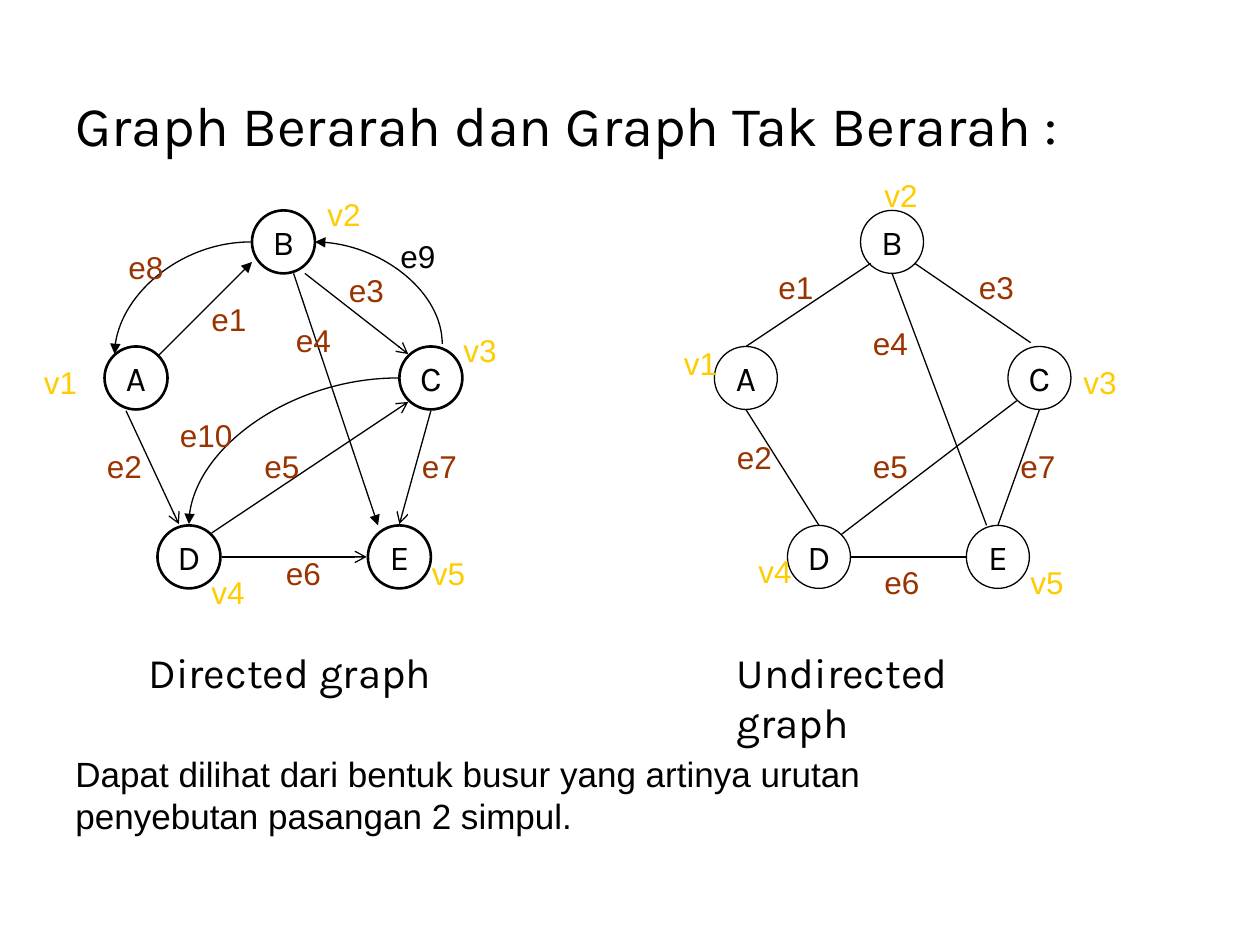
from lxml.etree import SubElement
from pptx import Presentation
from pptx.dml.color import RGBColor
from pptx.enum.shapes import MSO_CONNECTOR, MSO_SHAPE
from pptx.enum.text import MSO_ANCHOR, MSO_AUTO_SIZE, PP_ALIGN
from pptx.oxml.ns import qn
from pptx.util import Cm, Pt

COLORS = {"ink": "000000", "edge": "993300", "vertex": "FFCC00"}
NODE_SIZE = 0.5
LABEL_WIDTH, LABEL_HEIGHT = 0.5, 0.4

# Positions are in inches from the top left corner of each graph's box.
DIRECTED = {
    "caption": ("Directed graph", 1.08, 2.5),
    "node_line": 1.5,
    "nodes": {"B": (2, 0.67), "A": (0.83, 1.75), "C": (3.17, 1.75),
              "D": (1.25, 3.17), "E": (2.92, 3.17)},
    "edges": [
        (1, 2.26, 1.42, 3.16, "arrow"),
        (1.68, 3.23, 3.24, 2.19, "arrow"),
        (1.76, 3.42, 2.91, 3.42, "arrow"),
        (3.42, 2.26, 3.17, 3.16, "arrow"),
        (2.42, 1.17, 3.24, 1.81, "arrow"),
        (1.25, 1.83, 2, 1.08, "triangle"),
        (2.33, 1.17, 3, 3.17, "triangle"),
    ],
    # A curve leaves its first point horizontally and meets its last vertically.
    "curves": [
        (2.5, 0.92, 3.51, 1.73, "headEnd"),
        (1.99, 0.92, 0.91, 1.81, "tailEnd"),
        (3.16, 2, 1.5, 3.16, "tailEnd"),
    ],
    "vertex_labels": {"v1": (0.25, 1.83), "v2": (2.5, 0.5), "v3": (3.58, 1.58),
                      "v4": (1.58, 3.5), "v5": (3.33, 3.35)},
    "edge_labels": {"e1": (1.58, 1.33), "e2": (0.75, 2.5), "e3": (2.67, 1.1),
                    "e4": (2.25, 1.5), "e5": (2, 2.5), "e6": (2.17, 3.35),
                    "e7": (3.25, 2.5), "e8": (0.92, 0.92), "e9": (3.08, 0.83),
                    "e10": (1.33, 2.25)},
}
UNDIRECTED = {
    "caption": ("Undirected graph", 0.75, 2.75),
    "node_line": 0.75,
    "nodes": {"B": (1.83, 0.67), "A": (0.67, 1.75), "C": (3, 1.75),
              "D": (1.25, 3.17), "E": (2.67, 3.17)},
    "edges": [
        (1.91, 1.09, 0.92, 1.75, None),
        (0.92, 2.25, 1.5, 3.17, None),
        (1.68, 3.24, 3.07, 2.18, None),
        (1.75, 3.42, 2.67, 3.42, None),
        (3.25, 2.25, 2.92, 3.17, None),
        (2.26, 1.09, 3.18, 1.72, None),
        (2.83, 3.17, 2.08, 1.17, None),
    ],
    "curves": [],
    "vertex_labels": {"v1": (0.33, 1.68), "v2": (1.92, 0.35), "v3": (3.5, 1.83),
                      "v4": (0.92, 3.33), "v5": (3.08, 3.42)},
    "edge_labels": {"e1": (1.08, 1.08), "e2": (0.75, 2.43), "e3": (2.67, 1.08),
                    "e4": (1.83, 1.52), "e5": (1.83, 2.5), "e6": (1.92, 3.42),
                    "e7": (3, 2.5)},
}


def length(inches):
    return Cm(inches * 2.54)


def color(name):
    return RGBColor.from_string(COLORS[name])


def set_font(paragraph, name, size, color_name="ink"):
    paragraph.font.name = name
    paragraph.font.size = Pt(size)
    paragraph.font.color.rgb = color(color_name)


def add_text(slide, text, box, font, size, space, color_name="ink", grow=True):
    shape = slide.shapes.add_textbox(*map(length, box))
    frame = shape.text_frame
    frame.word_wrap = True
    if grow:
        frame.auto_size = MSO_AUTO_SIZE.SHAPE_TO_FIT_TEXT
    paragraph = frame.paragraphs[0]
    paragraph.text = text
    paragraph.space_before = Pt(space)
    set_font(paragraph, font, size, color_name)


def add_node(slide, letter, left, top, line_width):
    node = slide.shapes.add_shape(
        MSO_SHAPE.OVAL, *map(length, (left, top, NODE_SIZE, NODE_SIZE)))
    node.shadow.inherit = False
    node.fill.background()
    node.line.color.rgb = color("ink")
    node.line.width = Pt(line_width)
    frame = node.text_frame
    frame.word_wrap = False
    frame.vertical_anchor = MSO_ANCHOR.MIDDLE
    paragraph = frame.paragraphs[0]
    paragraph.text = letter
    paragraph.alignment = PP_ALIGN.CENTER
    set_font(paragraph, "Karla", 20)


def add_edge(slide, points, arrow, arrow_end="tailEnd", curved=False):
    kind = MSO_CONNECTOR.CURVE if curved else MSO_CONNECTOR.STRAIGHT
    edge = slide.shapes.add_connector(kind, *map(length, points))
    edge.line.color.rgb = color("ink")
    edge.line.width = Pt(0.75)
    properties = edge._element.spPr
    if curved:
        properties.find(qn("a:prstGeom")).set("prst", "curvedConnector2")
    if arrow:
        SubElement(edge.line._get_or_add_ln(), qn(f"a:{arrow_end}"), type=arrow)
    SubElement(properties, qn("a:effectLst"))


def add_graph(slide, left, top, graph):
    """Draw nodes, edges, labels and caption from the box's top left corner."""
    def shift(*coordinates):
        return [value + (top if index % 2 else left)
                for index, value in enumerate(coordinates)]

    for letter, position in graph["nodes"].items():
        add_node(slide, letter, *shift(*position), graph["node_line"])
    for *points, arrow in graph["edges"]:
        add_edge(slide, shift(*points), arrow)
    for *points, arrow_end in graph["curves"]:
        add_edge(slide, shift(*points), "triangle", arrow_end, curved=True)
    for kind in ("vertex", "edge"):
        for text, position in graph[f"{kind}_labels"].items():
            width = 0.67 if len(text) > 2 else LABEL_WIDTH
            add_text(slide, text, (*shift(*position), width, LABEL_HEIGHT),
                     "Arial", 18, 11.2, "ink" if text == "e9" else kind)
    caption, caption_left, caption_width = graph["caption"]
    add_text(slide, caption, (*shift(caption_left, 4.08), caption_width, 0.9),
             "Karla", 24, 15)


def main():
    presentation = Presentation()
    presentation.slide_width = length(10)
    presentation.slide_height = length(7.5)
    slide = presentation.slides.add_slide(presentation.slide_layouts[6])
    add_text(slide, "Graph Berarah dan Graph Tak Berarah :", (0.5, 0.67, 9, 6.5),
             "Karla", 32, 8, grow=False)
    add_graph(slide, 0, 1, DIRECTED)
    add_graph(slide, 5, 1, UNDIRECTED)
    add_text(slide, "Dapat dilihat dari bentuk busur yang artinya urutan "
             "penyebutan pasangan 2 simpul.", (0.5, 5.92, 7.92, 0.77),
             "Arial", 20, 12.5)
    presentation.save("out.pptx")


if __name__ == "__main__":
    main()
